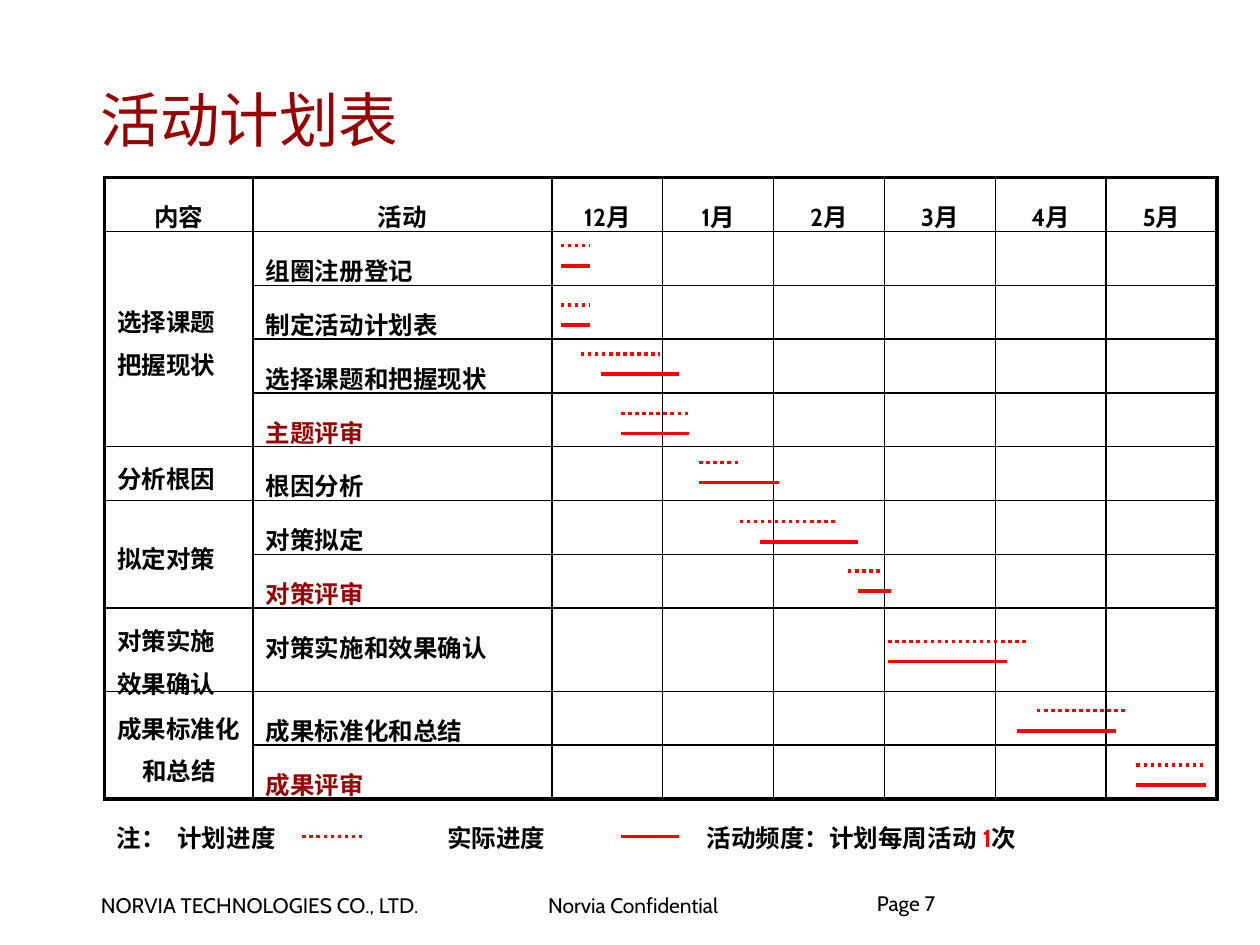
from pptx import Presentation
from pptx.dml.color import RGBColor
from pptx.enum.dml import MSO_LINE
from pptx.enum.shapes import MSO_CONNECTOR
from pptx.enum.text import MSO_ANCHOR, PP_ALIGN
from pptx.oxml.ns import qn
from pptx.util import Inches, Pt
from lxml.etree import SubElement

COLORS = {"ink": "000000", "review": "990000", "bar": "FF0000"}
FONT = "Cabin"
BOLD = {"size": Pt(14), "bold": True}
FOOTER = {"size": Pt(12)}
TITLE = {"size": Pt(34)}

HEADERS = ["内容", "活动", "12月", "1月", "2月", "3月", "4月", "5月"]
STAGES = [
    (["选择课题", "把握现状"], ["组圈注册登记", "制定活动计划表", "选择课题和把握现状", "主题评审"]),
    (["分析根因"], ["根因分析"]),
    (["拟定对策"], ["对策拟定", "对策评审"]),
    (["对策实施", "效果确认"], ["对策实施和效果确认"]),
    (["成果标准化", "和总结"], ["成果标准化和总结", "成果评审"]),
]
COLUMN_WIDTHS = [1.18, 2.37] + [0.88] * 6
ROW_HEIGHT = 0.42
TALL_ROW, TALL_HEIGHT = 8, 0.66

SCHEDULE = [
    (1.95, (4.45, 4.68), (4.45, 4.68)),
    (2.42, (4.45, 4.68), (4.45, 4.68)),
    (2.81, (4.61, 5.24), (4.77, 5.39)),
    (3.28, (4.93, 5.47), (4.93, 5.47)),
    (3.67, (5.55, 5.87), (5.55, 6.18)),
    (4.14, (5.87, 6.65), (6.03, 6.81)),
    (4.53, (6.73, 6.99), (6.81, 7.07)),
    (5.09, (7.05, 8.15), (7.05, 7.99)),
    (5.64, (8.23, 8.94), (8.07, 8.86)),
    (6.07, (9.02, 9.56), (9.02, 9.57)),
]
ACTUAL_OFFSET = 0.16
LEGEND_Y = 6.64


def add_span(para, text, style, color="ink"):
    span = para.add_run()
    span.text = text
    for name, value in {"name": FONT, **style}.items():
        setattr(span.font, name, value)
    span.font.color.rgb = RGBColor.from_string(COLORS[color])


def add_text(page, place, spans, style, margins=(0.09, 0.04), **frame_format):
    box = page.shapes.add_textbox(*map(Inches, place))
    frame = box.text_frame
    side, end = map(Inches, margins)
    settings = {"word_wrap": True, "margin_left": side, "margin_right": side,
                "margin_top": end, "margin_bottom": end, **frame_format}
    for name, value in settings.items():
        setattr(frame, name, value)
    para = frame.paragraphs[0]
    for text, color in spans:
        add_span(para, text, style, color)
    return para


def add_tabs(para, positions):
    tabs = SubElement(para._p.get_or_add_pPr(), qn("a:tabLst"))
    for position in positions:
        SubElement(tabs, qn("a:tab"), pos=str(Inches(position)), algn="l")


def add_bar(page, ends, y, dash=None):
    start, end = ends
    bar = page.shapes.add_connector(
        MSO_CONNECTOR.STRAIGHT, Inches(start), Inches(y), Inches(end), Inches(y))
    bar.line.color.rgb = RGBColor.from_string(COLORS["bar"])
    bar.line.width = Pt(2)
    if dash:
        bar.line.dash_style = dash
    SubElement(bar._element.spPr, qn("a:effectLst"))


def fill_cell(cell, lines, spacing, color="ink", align=None):
    frame = cell.text_frame
    for index, line in enumerate(lines):
        para = frame.add_paragraph() if index else frame.paragraphs[0]
        para.line_spacing = spacing
        if align is not None:
            para.alignment = align
        add_span(para, line, BOLD, color)


def frame_cells(table):
    last_row, last_column = len(table.rows), len(table.columns)
    for row in range(last_row):
        for column in range(last_column):
            cell = table.cell(row, column)
            outer = {"L": column == 0, "R": column + 1 == last_column,
                     "T": row == 0, "B": row + cell.span_height == last_row}
            properties = cell._tc.get_or_add_tcPr()
            for side, thick in outer.items():
                width = Pt(2.25 if thick else 1)
                border = SubElement(properties, qn(f"a:ln{side}"), w=str(width))
                paint = SubElement(border, qn("a:solidFill"))
                SubElement(paint, qn("a:srgbClr"), val=COLORS["ink"])
            cell.fill.background()


def add_plan_table(page):
    row_count = 1 + sum(len(activities) for _, activities in STAGES)
    heights = [TALL_HEIGHT if row == TALL_ROW else ROW_HEIGHT for row in range(row_count)]
    table = page.shapes.add_table(
        row_count, len(HEADERS), Inches(0.83), Inches(1.41),
        Inches(sum(COLUMN_WIDTHS)), Inches(sum(heights))).table
    table.first_row = table.horz_banding = False
    for column, width in zip(table.columns, COLUMN_WIDTHS):
        column.width = Inches(width)
    for row, height in zip(table.rows, heights):
        row.height = Inches(height)
    for column, header in enumerate(HEADERS):
        fill_cell(table.cell(0, column), [header], 1.4, align=PP_ALIGN.CENTER)

    row = 1
    for stage, activities in STAGES:
        stage_cell = table.cell(row, 0)
        if len(activities) > 1:
            stage_cell.merge(table.cell(row + len(activities) - 1, 0))
        stage_cell.vertical_anchor = MSO_ANCHOR.MIDDLE
        fill_cell(stage_cell, stage, 1.2)
        for activity in activities:
            color = "review" if activity.endswith("评审") else "ink"
            fill_cell(table.cell(row, 1), [activity], 1.4, color)
            row += 1
    stage_cell.text_frame.paragraphs[-1].alignment = PP_ALIGN.CENTER
    frame_cells(table)


def add_schedule(page):
    for y, planned, actual in SCHEDULE:
        add_bar(page, planned, y, MSO_LINE.ROUND_DOT)
        add_bar(page, actual, y + ACTUAL_OFFSET)


def add_legend(page):
    note = "注：\t计划进度\t实际进度\t活动频度：计划每周活动 "
    para = add_text(page, (0.83, 6.48, 8.82, 0.34),
                    [(note, "ink"), ("1", "bar"), ("次", "ink")], BOLD, (0.1, 0.05))
    add_tabs(para, [0.48, 2.62, 4.68])
    add_bar(page, (2.4, 2.87), LEGEND_Y, MSO_LINE.ROUND_DOT)
    add_bar(page, (4.93, 5.39), LEGEND_Y)


def add_footer(page):
    add_text(page, (0.71, 7.04, 2.86, 0.29),
             [("NORVIA TECHNOLOGIES CO., LTD.", "ink")], FOOTER, word_wrap=False)
    add_text(page, (4.26, 7.04, 1.78, 0.29),
             [("Norvia Confidential", "ink")], FOOTER, word_wrap=False)
    number = add_text(page, (6.96, 7.1, 2.29, 0.5), [("Page 7", "ink")], FOOTER, (0, 0))
    number.line_spacing = 0.85


def main():
    deck = Presentation()
    deck.slide_width, deck.slide_height = Inches(10), Inches(7.5)
    page = deck.slides.add_slide(deck.slide_layouts[6])
    add_footer(page)
    add_plan_table(page)
    add_text(page, (0.71, 0.47, 8.47, 0.95), [("活动计划表", "review")], TITLE,
             vertical_anchor=MSO_ANCHOR.MIDDLE)
    add_schedule(page)
    add_legend(page)
    deck.save("out.pptx")


if __name__ == "__main__":
    main()
